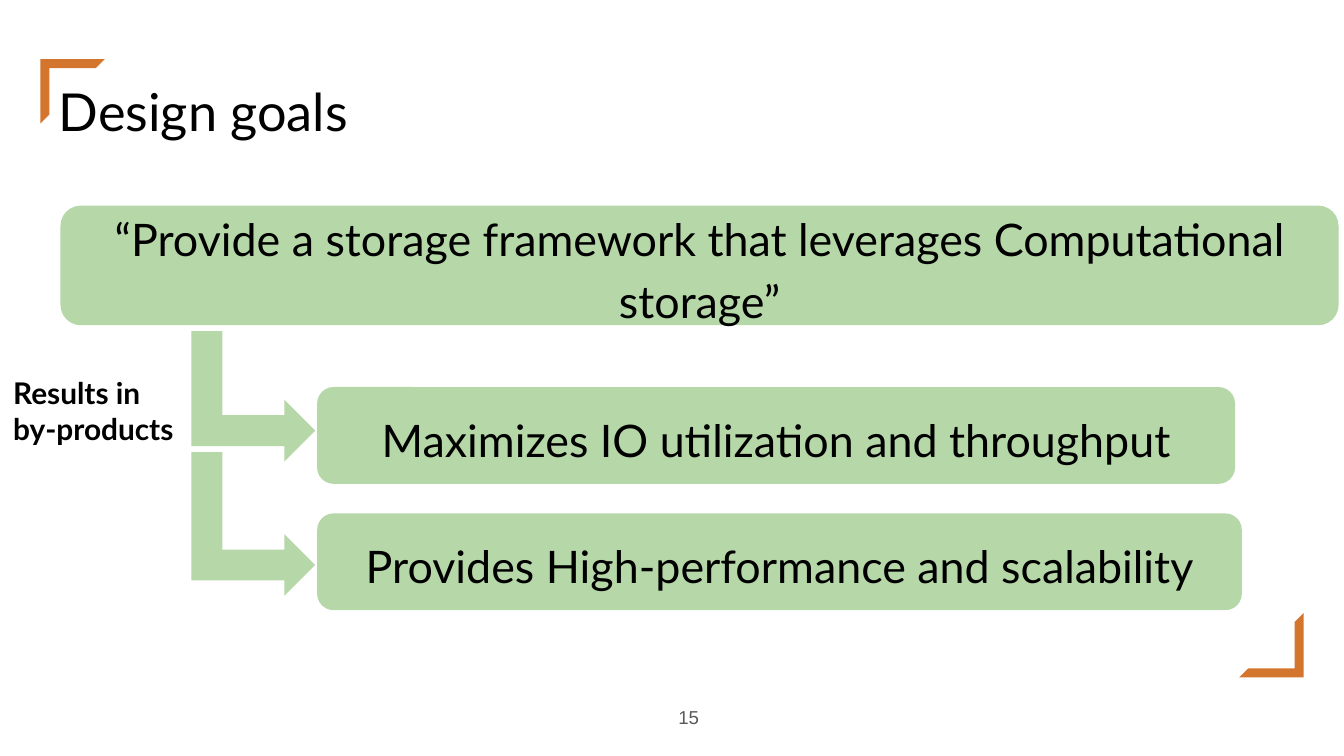
from dataclasses import dataclass

import pptx
import pptx.dml.color
import pptx.enum.shapes
import pptx.enum.text
import pptx.util

Inches = pptx.util.Inches
Shape = pptx.enum.shapes.MSO_SHAPE
Align = pptx.enum.text.PP_ALIGN
Anchor = pptx.enum.text.MSO_ANCHOR

GREEN = "B6D7A8"
ORANGE = "D4752E"
BLACK = "000000"
GREY = "595959"


@dataclass
class Box:
    left: float
    top: float
    width: float
    height: float


@dataclass
class Goal:
    text: str
    box: Box


@dataclass
class Figure:
    kind: Shape
    box: Box
    fill: str
    rotation: int
    adjustments: tuple[float, ...]


GOALS = [
    Goal("Maximizes IO utilization and throughput", Box(2.36, 2.88, 6.83, 0.72)),
    Goal("Provides High-performance and scalability", Box(2.36, 3.82, 6.88, 0.72)),
    Goal("“Provide a storage framework that leverages Computational storage”",
         Box(0.45, 1.53, 9.51, 0.89)),
]
CORNERS = [
    Figure(Shape.HALF_FRAME, Box(left, top, 0.48, 0.48), ORANGE, rotation, (0.14, 0.14))
    for left, top, rotation in [(0.3, 0.44, 0), (9.22, 4.56, 180)]
]
ARROWS = [
    Figure(Shape.BENT_UP_ARROW, box, GREEN, 90, (0.25, 0.25, 0.25))
    for box in [Box(1.4, 2.49, 0.97, 0.92), Box(1.35, 3.44, 1.07, 0.92)]
]


def rgb(color: str) -> pptx.dml.color.RGBColor:
    return pptx.dml.color.RGBColor.from_string(color)


def position(box: Box) -> list[int]:
    return [Inches(v) for v in (box.left, box.top, box.width, box.height)]


def write(sp, text: str, *, size: int, font: str = "Lato", color: str = BLACK,
          bold: bool = False, align=Align.LEFT, anchor=Anchor.TOP,
          spacing: float = 1.0) -> None:
    tf = sp.text_frame
    tf.word_wrap = True
    tf.vertical_anchor = anchor
    tf.margin_left = tf.margin_right = tf.margin_top = tf.margin_bottom = Inches(0.1)
    p = tf.paragraphs[0]
    p.alignment = align
    p.line_spacing = spacing
    r = p.add_run()
    r.text = text
    r.font.size = pptx.util.Pt(size)
    r.font.name = font
    r.font.bold = bold
    r.font.color.rgb = rgb(color)


def add_figure(s, figure: Figure):
    sp = s.shapes.add_shape(figure.kind, *position(figure.box))
    sp.shadow.inherit = False
    sp.fill.solid()
    sp.fill.fore_color.rgb = rgb(figure.fill)
    sp.line.fill.background()
    sp.rotation = figure.rotation
    for i, value in enumerate(figure.adjustments):
        sp.adjustments[i] = value
    return sp


def add_goal(s, goal: Goal) -> None:
    sp = add_figure(s, Figure(Shape.ROUNDED_RECTANGLE, goal.box, GREEN, 0, (0.17,)))
    write(sp, goal.text, size=24, align=Align.CENTER, anchor=Anchor.MIDDLE, spacing=1.15)


def add_label(s, text: str, box: Box, **style) -> None:
    write(s.shapes.add_textbox(*position(box)), text, **style)


def main() -> None:
    prs = pptx.Presentation()
    prs.slide_width = Inches(10)
    prs.slide_height = Inches(10 * 9 / 16)
    s = prs.slides.add_slide(prs.slide_layouts[6])

    for corner in CORNERS:
        add_figure(s, corner)
    add_label(s, "Design goals", Box(0.34, 0.49, 9.32, 0.63), size=28)
    add_label(s, "15", Box(4.7, 5.12, 0.6, 0.43), size=10, font="Arial", color=GREY,
              align=Align.RIGHT, anchor=Anchor.MIDDLE)
    for goal in GOALS:
        add_goal(s, goal)
    for arrow in ARROWS:
        add_figure(s, arrow)
    add_label(s, "Results in by-products", Box(0, 2.69, 1.41, 0.74), size=16, bold=True)

    prs.save("out.pptx")


if __name__ == "__main__":
    main()
